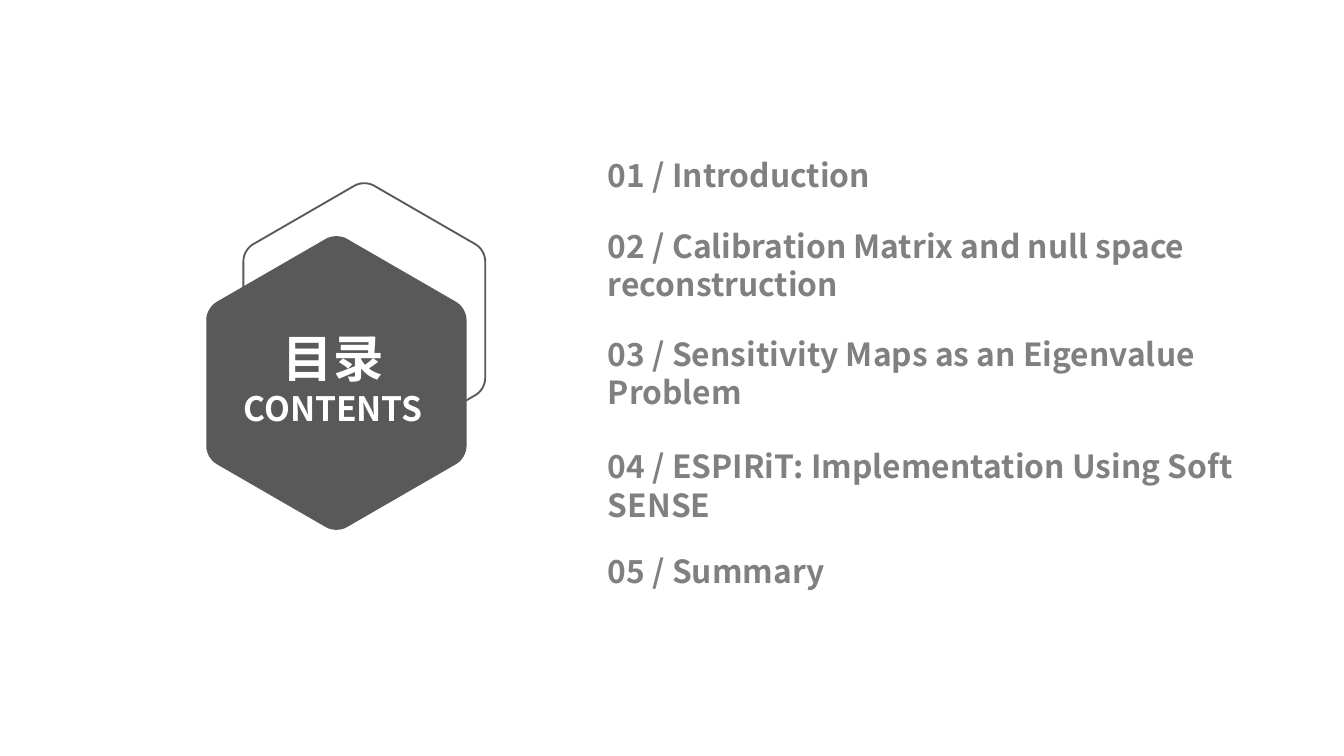
"""Build a contents slide with two rounded hexagons and five section titles."""
from dataclasses import dataclass
from math import cos, radians, sin

from lxml import etree
from pptx import Presentation
from pptx.dml.color import RGBColor
from pptx.enum.text import MSO_AUTO_SIZE, PP_ALIGN
from pptx.oxml.ns import qn
from pptx.util import Pt

LEFT, CENTER = PP_ALIGN.LEFT, PP_ALIGN.CENTER
FIT_SHAPE = MSO_AUTO_SIZE.SHAPE_TO_FIT_TEXT
CORNER_CUT, CORNER_PULL, CORNER_STEPS = 0.08, 0.58, 8


@dataclass(frozen=True)
class Theme:
    """Colours, font and type sizes of the slide."""
    dark: RGBColor = RGBColor(0x59, 0x59, 0x59)
    grey: RGBColor = RGBColor(0x80, 0x80, 0x80)
    white: RGBColor = RGBColor(0xFF, 0xFF, 0xFF)
    font: str = "Noto Sans CJK SC"
    section_size: float = 17
    title_size: float = 27
    subtitle_size: float = 18


THEME = Theme()
SECTIONS = [
    ("01 / Introduction", 80.6, 234.7, 26),
    ("02 / Calibration Matrix and null space reconstruction", 118.8, 399.6, 46.8),
    ("03 / Sensitivity Maps as an Eigenvalue Problem", 176.4, 391, 46.8),
    ("04 / ESPIRiT: Implementation Using Soft SENSE", 236.9, 360, 46.8),
    ("05 / Summary", 293, 360, 26),
]


def between(start, end, share):
    """Return the point at the given share of the way from start to end."""
    return tuple(a + (b - a) * share for a, b in zip(start, end))


def rounded_corner(before, corner, after):
    """Return points along the curve that rounds one corner."""
    entry = between(corner, before, CORNER_CUT)
    leave = between(corner, after, CORNER_CUT)
    pulls = between(entry, corner, CORNER_PULL), between(leave, corner, CORNER_PULL)
    points = []
    for step in range(CORNER_STEPS + 1):
        t = step / CORNER_STEPS
        weights = (1 - t) ** 3, 3 * t * (1 - t) ** 2, 3 * t * t * (1 - t), t ** 3
        curve = entry, *pulls, leave
        points.append(tuple(sum(w * p[axis] for w, p in zip(weights, curve)) for axis in (0, 1)))
    return points


def add_hexagon(slide, center_x, center_y, radius, fill=None, outline=None):
    """Add a regular hexagon with rounded corners, standing on one corner."""
    angles = [radians(60 * side - 90) for side in range(6)]
    corners = [(center_x + radius * cos(a), center_y + radius * sin(a)) for a in angles]
    points = []
    for side, corner in enumerate(corners):
        points += rounded_corner(corners[side - 1], corner, corners[(side + 1) % 6])
    points = [(Pt(x), Pt(y)) for x, y in points]
    builder = slide.shapes.build_freeform(*points[0])
    builder.add_line_segments(points[1:], close=True)
    hexagon = builder.convert_to_shape()
    hexagon.shadow.inherit = False
    if fill is None:
        hexagon.fill.background()
    else:
        hexagon.fill.solid()
        hexagon.fill.fore_color.rgb = fill
    if outline is None:
        hexagon.line.fill.background()
    else:
        hexagon.line.color.rgb = outline
        hexagon.line.width = Pt(1)


def add_text(slide, left, top, width, height, lines, color, align=LEFT):
    """Add a bold text box with one paragraph for each (text, size) line."""
    box = slide.shapes.add_textbox(Pt(left), Pt(top), Pt(width), Pt(height))
    frame = box.text_frame
    frame.word_wrap = True
    frame.auto_size = FIT_SHAPE
    frame.margin_left = frame.margin_right = Pt(5.3)
    frame.margin_top = frame.margin_bottom = Pt(2.7)
    for index, (text, size) in enumerate(lines):
        paragraph = frame.add_paragraph() if index else frame.paragraphs[0]
        paragraph.alignment = align
        run = paragraph.add_run()
        run.text = text
        run.font.name = THEME.font
        run.font.size = Pt(size)
        run.font.bold = True
        run.font.color.rgb = color
        east_asian = etree.SubElement(run.font._element, qn("a:ea"))
        east_asian.set("typeface", THEME.font)


def main():
    """Build the slide and save it."""
    deck = Presentation()
    deck.slide_width, deck.slide_height = Pt(720), Pt(405)
    slide = deck.slides.add_slide(deck.slide_layouts[6])
    add_hexagon(slide, 195.2, 171.3, 74.8, outline=THEME.dark)
    add_hexagon(slide, 180.2, 205.2, 80.5, fill=THEME.dark)
    title = [("目录", THEME.title_size), ("CONTENTS", THEME.subtitle_size)]
    add_text(slide, 113, 172.8, 131, 59.8, title, THEME.white, CENTER)
    for text, top, width, height in SECTIONS:
        add_text(slide, 320.4, top, width, height, [(text, THEME.section_size)], THEME.grey)
    deck.save("out.pptx")


if __name__ == "__main__":
    main()
